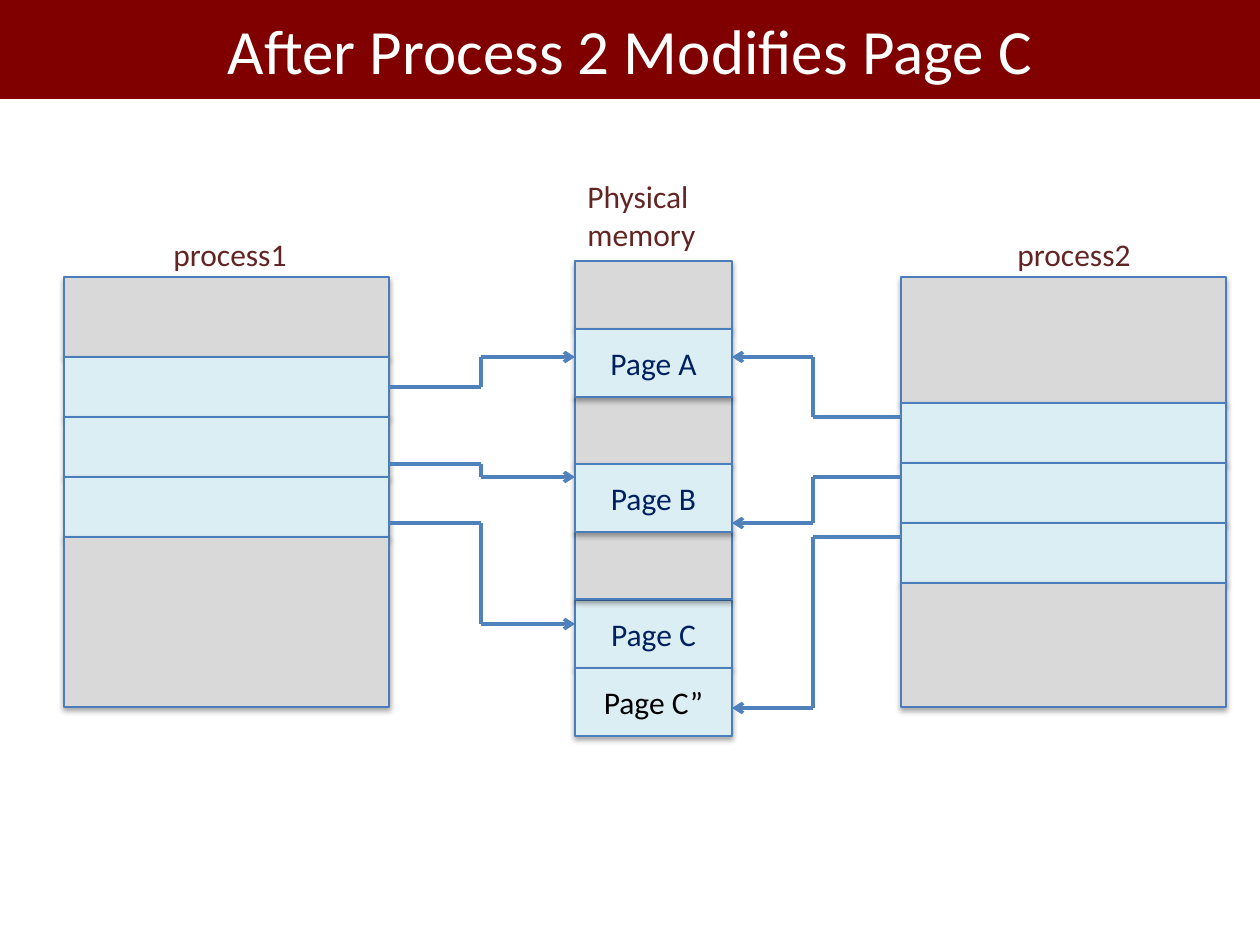
"""Builds a slide on copy-on-write memory after process 2 modifies page C."""
from dataclasses import dataclass
from typing import Optional

from lxml import etree
from pptx import Presentation
from pptx.dml.color import RGBColor
from pptx.enum.shapes import MSO_CONNECTOR, MSO_SHAPE
from pptx.enum.text import MSO_ANCHOR, MSO_AUTO_SIZE, PP_ALIGN
from pptx.oxml.ns import qn
from pptx.shapes.autoshape import Shape
from pptx.slide import Slide
from pptx.text.text import TextFrame
from pptx.util import Emu, Pt

RECTANGLE = MSO_SHAPE.RECTANGLE
STRAIGHT = MSO_CONNECTOR.STRAIGHT
MIDDLE = MSO_ANCHOR.MIDDLE
FIT_SHAPE = MSO_AUTO_SIZE.SHAPE_TO_FIT_TEXT
LEFT, CENTER = PP_ALIGN.LEFT, PP_ALIGN.CENTER
RIGHT_SIDE = 3

PX_PER_INCH = 126
FONT = "Calibri"
COLORS = {
    "banner": "800000",
    "white": "FFFFFF",
    "unused": "D9D9D9",
    "page": "DBEEF4",
    "border": "4A7EBB",
    "arrow": "4F81BD",
    "page_name": "002060",
    "copy_name": "000000",
    "heading": "632523",
}

PROCESS_TOP, PROCESS_WIDTH = 277, 325
PROCESS1_LEFT, PROCESS2_LEFT = 64, 901
PROCESS1_RIGHT = PROCESS1_LEFT + PROCESS_WIDTH
MEMORY_LEFT, MEMORY_WIDTH, FRAME_HEIGHT = 575, 157, 68
MEMORY_RIGHT = MEMORY_LEFT + MEMORY_WIDTH
BEND1, BEND2 = 481, 813


@dataclass(frozen=True)
class Frame:
    top: int
    fill: str
    name: str = ""
    name_color: str = "page_name"


@dataclass(frozen=True)
class Heading:
    text: str
    left: int
    top: int
    width: int
    height: int


@dataclass(frozen=True)
class Mapping:
    start_x: int
    start_y: int
    bend_x: int
    end_x: int
    end_y: int
    source: Optional[Shape] = None


PROCESS1_HEIGHTS = (80, 60, 60, 60, 170)
PROCESS2_HEIGHTS = (126, 60, 60, 60, 124)
PROCESS_FILLS = ("unused", "page", "page", "page", "unused")
FRAMES = (
    Frame(600, "page", "Page C"),
    Frame(261, "unused"),
    Frame(668, "page", "Page C”", "copy_name"),
    Frame(531, "unused"),
    Frame(396, "unused"),
    Frame(464, "page", "Page B"),
    Frame(329, "page", "Page A"),
)
HEADINGS = (
    Heading("process1", 161, 229, 228, 50),
    Heading("process2", 1005, 229, 221, 50),
    Heading("Physical memory", MEMORY_LEFT, 171, MEMORY_WIDTH, 88),
)


def px(length: int) -> Emu:
    """Turn whole pixels into EMU."""
    return Emu(round(length * 914400 / PX_PER_INCH))


def rgb(name: str) -> RGBColor:
    """Look up a named colour."""
    return RGBColor.from_string(COLORS[name])


def write(frame: TextFrame, text: str, size: int, color: str, align: PP_ALIGN) -> None:
    """Set the single paragraph of a text frame."""
    frame.word_wrap = True
    paragraph = frame.paragraphs[0]
    paragraph.text = text
    paragraph.alignment = align
    paragraph.font.name = FONT
    paragraph.font.size = Pt(size)
    paragraph.font.color.rgb = rgb(color)


def add_soft_shadow(block: Shape) -> None:
    """Give a block a soft black shadow straight below it."""
    block.shadow.inherit = False
    effects = block._element.spPr.find(qn("a:effectLst"))
    shadow = etree.SubElement(effects, qn("a:outerShdw"), blurRad="40000",
                              dist="23000", dir="5400000", rotWithShape="0")
    black = etree.SubElement(shadow, qn("a:srgbClr"), val="000000")
    etree.SubElement(black, qn("a:alpha"), val="35000")


def add_block(slide: Slide, left: int, top: int, width: int, height: int, fill: str) -> Shape:
    """Draw one bordered region of memory."""
    block = slide.shapes.add_shape(RECTANGLE, px(left), px(top), px(width), px(height))
    block.fill.solid()
    block.fill.fore_color.rgb = rgb(fill)
    block.line.color.rgb = rgb("border")
    block.line.width = Pt(0.75)
    add_soft_shadow(block)
    return block


def add_process(slide: Slide, left: int, heights: tuple[int, ...]) -> list[Shape]:
    """Stack the regions of one process's address space."""
    return [
        add_block(slide, left, PROCESS_TOP + sum(heights[:row]), PROCESS_WIDTH, height, fill)
        for row, (height, fill) in enumerate(zip(heights, PROCESS_FILLS))
    ]


def add_frame(slide: Slide, frame: Frame) -> None:
    """Draw one frame of physical memory."""
    block = add_block(slide, MEMORY_LEFT, frame.top, MEMORY_WIDTH, FRAME_HEIGHT, frame.fill)
    if frame.name:
        block.text_frame.vertical_anchor = MIDDLE
        write(block.text_frame, frame.name, 18, frame.name_color, CENTER)


def add_heading(slide: Slide, heading: Heading) -> None:
    """Write a heading above a column."""
    box = slide.shapes.add_textbox(px(heading.left), px(heading.top),
                                   px(heading.width), px(heading.height))
    write(box.text_frame, heading.text, 18, "heading", LEFT)
    box.text_frame.auto_size = FIT_SHAPE


def add_mapping(slide: Slide, mapping: Mapping) -> None:
    """Draw a three-part elbow that ends in an arrowhead."""
    corners = (
        (mapping.start_x, mapping.start_y),
        (mapping.bend_x, mapping.start_y),
        (mapping.bend_x, mapping.end_y),
        (mapping.end_x, mapping.end_y),
    )
    segments = []
    for (x1, y1), (x2, y2) in zip(corners, corners[1:]):
        segment = slide.shapes.add_connector(STRAIGHT, px(x1), px(y1), px(x2), px(y2))
        segment.line.color.rgb = rgb("arrow")
        segment.line.width = Pt(2)
        etree.SubElement(segment._element.spPr, qn("a:effectLst"))
        segments.append(segment)
    if mapping.source is not None:
        segments[0].begin_connect(mapping.source, RIGHT_SIDE)
    etree.SubElement(segments[-1].line._get_or_add_ln(), qn("a:tailEnd"), type="arrow")


def main() -> None:
    """Build and save the slide."""
    deck = Presentation()
    deck.slide_width, deck.slide_height = px(1260), px(945)
    slide = deck.slides.add_slide(deck.slide_layouts[5])

    title = slide.shapes.title
    title.left, title.top, title.width, title.height = px(0), px(0), px(1260), px(99)
    title.fill.solid()
    title.fill.fore_color.rgb = rgb("banner")
    title.text_frame.vertical_anchor = MIDDLE
    write(title.text_frame, "After Process 2 Modifies Page C", 36, "white", CENTER)

    process1 = add_process(slide, PROCESS1_LEFT, PROCESS1_HEIGHTS)
    add_process(slide, PROCESS2_LEFT, PROCESS2_HEIGHTS)
    for frame in FRAMES:
        add_frame(slide, frame)
    for heading in HEADINGS:
        add_heading(slide, heading)

    for start_y, end_y, source in ((387, 357, process1[1]), (464, 477, None), (523, 624, None)):
        add_mapping(slide, Mapping(PROCESS1_RIGHT, start_y, BEND1, MEMORY_LEFT, end_y, source))
    for start_y, end_y in ((417, 357), (477, 523), (537, 708)):
        add_mapping(slide, Mapping(PROCESS2_LEFT, start_y, BEND2, MEMORY_RIGHT, end_y))
    deck.save("out.pptx")


if __name__ == "__main__":
    main()
